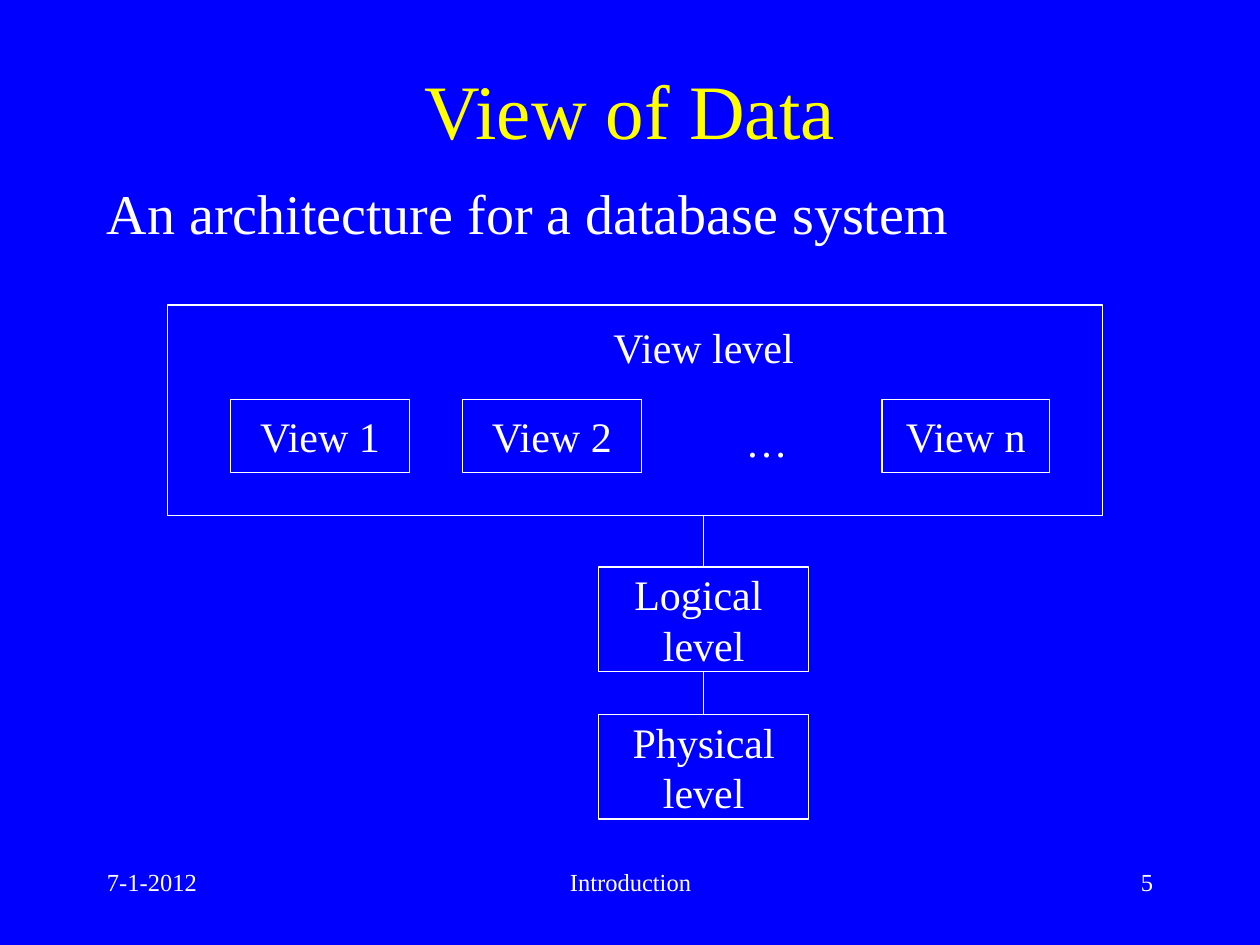
from lxml import etree
from pptx import Presentation
from pptx.dml.color import RGBColor
from pptx.enum import shapes, text
from pptx.util import Inches, Pt

FONT = "Times New Roman"
BLUE, WHITE, YELLOW = "0000FF", "FFFFFF", "FFFF00"
LEFT, MID, RIGHT = text.PP_ALIGN.LEFT, text.PP_ALIGN.CENTER, text.PP_ALIGN.RIGHT

# words, (left, top, width, height), size, colour, alignment
LABELS = [
    ("View of Data", (0.75, 0.45, 8.5, 0.75), 44, YELLOW, MID),
    ("An architecture for a database system", (0.75, 1.37, 8.5, 0.75), 32, WHITE, LEFT),
    ("View level", (4.42, 2.5, 2.33, 0.5), 24, WHITE, MID),
    ("7-1-2012", (0.75, 6.83, 2.08, 0.5), 14, WHITE, LEFT),
    ("Introduction", (3.42, 6.83, 3.17, 0.5), 14, WHITE, MID),
    ("5", (7.17, 6.83, 2.08, 0.5), 14, WHITE, RIGHT),
]
FRAME = (1.33, 2.42, 7.42, 1.67)
VIEWS = [("View 1", 1.83, 1.42), ("View 2", 3.67, 1.42), ("View n", 7, 1.33)]
LEVELS = [("Logical \nlevel", 4.5), ("Physical\nlevel", 5.67)]
LEVEL_X, LEVEL_W, LEVEL_H = 4.75, 1.67, 0.83


def color(code):
    return RGBColor.from_string(code)


def write(shape, words, size=24, tint=WHITE, align=MID):
    frame = shape.text_frame
    frame.text = words
    for para in frame.paragraphs:
        para.alignment = align
        para.font.name, para.font.size = FONT, Pt(size)
        para.font.color.rgb = color(tint)
    return frame


def label(slide, words, place, *style):
    box = slide.shapes.add_textbox(*map(Inches, place))
    frame = write(box, words, *style)
    frame.word_wrap = True
    return frame


def block(slide, place, words=""):
    box = slide.shapes.add_shape(shapes.MSO_SHAPE.RECTANGLE, *map(Inches, place))
    box.shadow.inherit = False
    box.fill.background()
    box.line.color.rgb, box.line.width = color(WHITE), Pt(0.75)
    if words:
        frame = write(box, words)
        frame.word_wrap = False
        frame.vertical_anchor = text.MSO_ANCHOR.MIDDLE


def link(slide, x, top, end):
    line = slide.shapes.add_connector(
        shapes.MSO_CONNECTOR.STRAIGHT, *map(Inches, (x, top, x, end)))
    line.line.color.rgb, line.line.width = color(WHITE), Pt(0.75)
    props = line._element.spPr
    etree.SubElement(props, props.find("{*}ln").tag.replace("}ln", "}effectLst"))


def main():
    deck = Presentation()
    deck.slide_width, deck.slide_height = Inches(10), Inches(7.5)
    slide = deck.slides.add_slide(deck.slide_layouts[6])
    slide.background.fill.solid()
    slide.background.fill.fore_color.rgb = color(BLUE)

    block(slide, FRAME)
    for item in LABELS:
        label(slide, *item)
    for words, left, width in VIEWS:
        block(slide, (left, 3.17, width, 0.58), words)
    dots = label(slide, "…", (5.5, 3.25, 1.17, 0.5))
    dots.vertical_anchor = text.MSO_ANCHOR.MIDDLE

    above = FRAME[1] + FRAME[3]
    for words, top in LEVELS:
        block(slide, (LEVEL_X, top, LEVEL_W, LEVEL_H), words)
        link(slide, LEVEL_X + LEVEL_W / 2, above, top)
        above = top + LEVEL_H
    deck.save("out.pptx")


if __name__ == "__main__":
    main()
